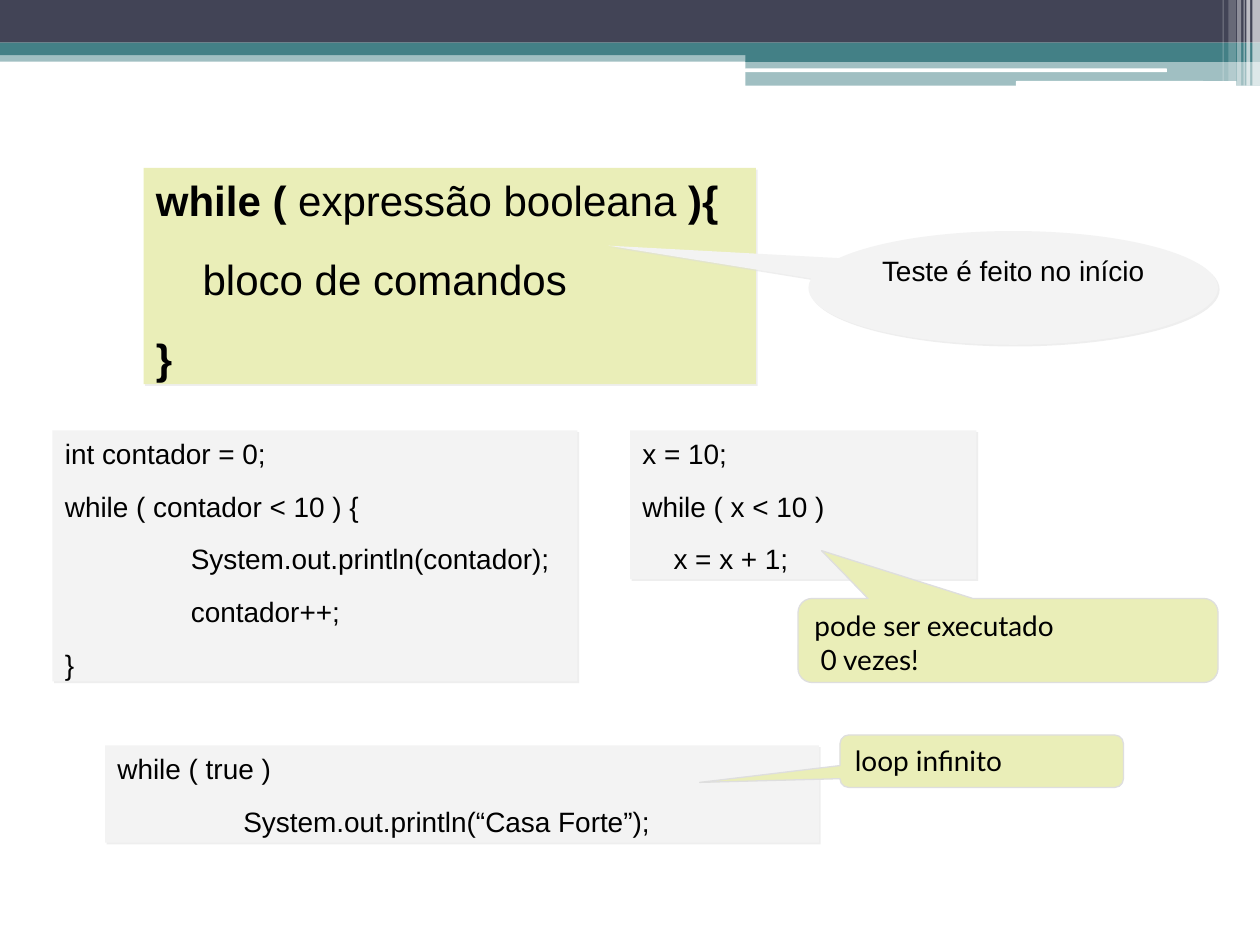
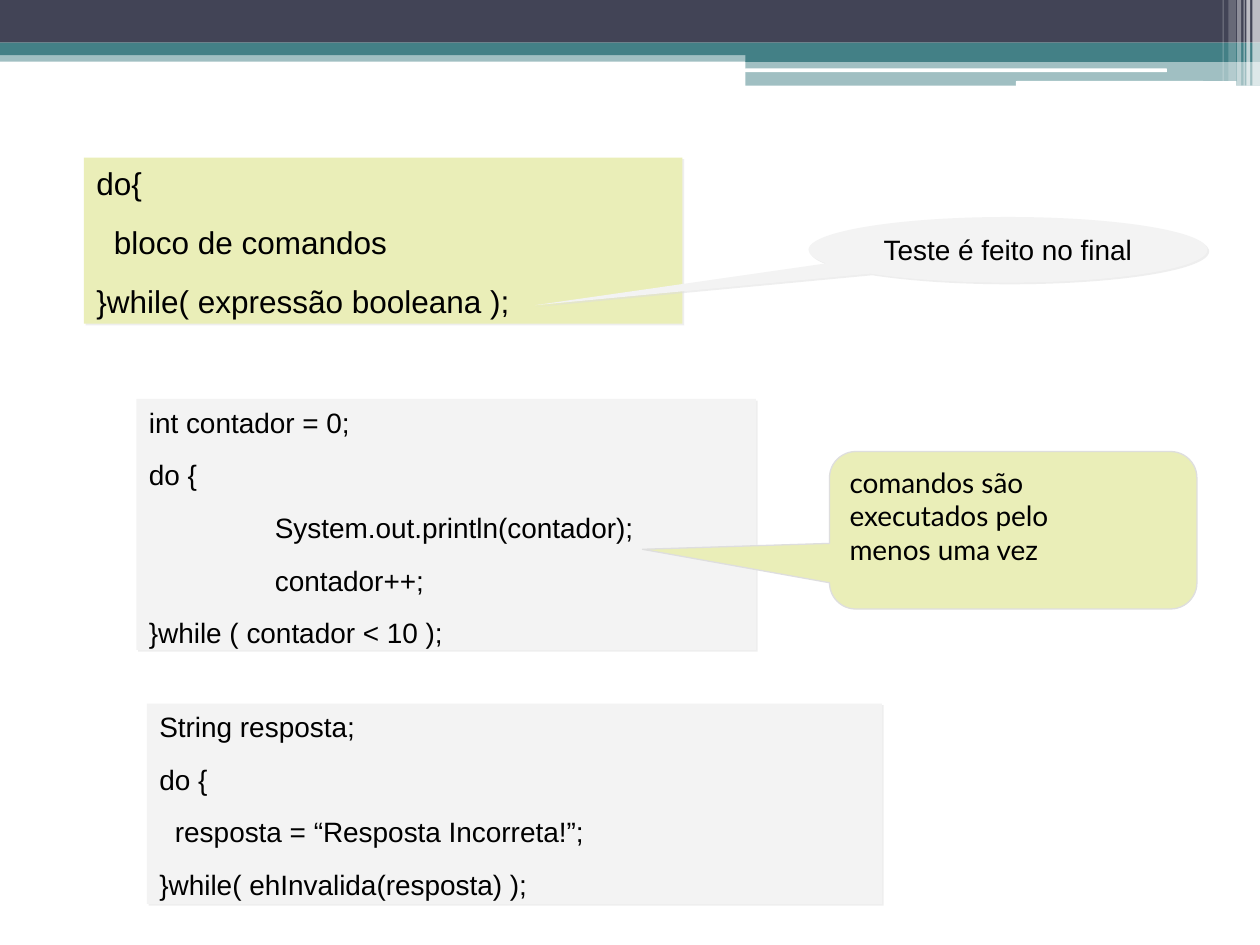
"""Builds two slides on Java while and do-while loops."""
import pptx
import pptx.dml.color
import pptx.enum.shapes
import pptx.enum.text
import pptx.oxml.ns
import pptx.util
from lxml import etree

Pt = pptx.util.Pt
SHAPE = pptx.enum.shapes.MSO_SHAPE
ALIGN = pptx.enum.text.PP_ALIGN
qn = pptx.oxml.ns.qn

COLORS = {
    "navy": "424456",
    "teal": "438086",
    "white": "FFFFFF",
    "lime": "EAEEB8",
    "gray": "F3F3F3",
    "edge": "DEDEDE",
    "text": "000000",
}

BANDS = [
    (SHAPE.RECTANGLE, 0, 28.8, 720, 6.5, "teal", 50),
    (SHAPE.RECTANGLE, 0, 0, 720, 24.4, "navy", 100),
    (SHAPE.RECTANGLE, 0, 24.4, 720, 7.2, "teal", 100),
    (SHAPE.RECTANGLE, 426, 28.2, 294, 7.2, "teal", 100),
    (SHAPE.RECTANGLE, 426, 34.8, 294, 14.2, "teal", 50),
    (SHAPE.ROUNDED_RECTANGLE, 425.8, 39.1, 241, 2.2, "white", 100),
    (SHAPE.ROUNDED_RECTANGLE, 580.5, 46.3, 126, 2.8, "white", 100),
    (SHAPE.RECTANGLE, 715.6, 0, 4.4, 49, "white", 65),
    (SHAPE.RECTANGLE, 712.2, 0, 2.2, 49, "white", 65),
    (SHAPE.RECTANGLE, 710.6, 0, 0.7, 49, "white", 60),
    (SHAPE.RECTANGLE, 707, 0, 2.2, 49, "white", 40),
    (SHAPE.RECTANGLE, 702, 0, 4.3, 46.3, "white", 20),
    (SHAPE.RECTANGLE, 698.6, 0, 0.7, 46.3, "white", 30),
]

STYLES = {
    "syntax": (SHAPE.RECTANGLE, "lime", "Arial", ALIGN.LEFT),
    "code": (SHAPE.RECTANGLE, "gray", "Arial", ALIGN.LEFT),
    "test": (SHAPE.OVAL_CALLOUT, "gray", "Arial", ALIGN.CENTER),
    "remark": (SHAPE.ROUNDED_RECTANGULAR_CALLOUT, "lime", "Lato", ALIGN.LEFT),
}
SPACE_BEFORE_RATIO = 0.68

# style, position and size, callout adjustments, text size, lines as (indent, text with *bold*)
SLIDES = [
    [
        ("code", (60, 426, 408, 55.6), (), 16,
         [(0, "while ( true )"), (72, "System.out.println(“Casa Forte”);")]),
        ("syntax", (82, 96, 350, 123.6), (), 24,
         [(0, "*while ( *expressão booleana *){*"), (26.7, "bloco de comandos"), (0, "*}*")]),
        ("code", (360, 246, 198, 85), (), 16,
         [(0, "x = 10;"), (0, "while ( x < 10 )"), (17.8, "x = x + 1;")]),
        ("remark", (480, 420, 162, 30), (-0.995, 0.404, 0.167), 16, [(0, "loop infinito")]),
        ("code", (30, 246, 300, 143.5), (), 16,
         [(0, "int contador = 0;"), (0, "while ( contador < 10 ) {"),
          (72, "System.out.println(contador);"), (72, "contador++;"), (0, "}")]),
        ("test", (462, 132, 234, 65), (-0.989, -0.371), 16, [(0, "Teste é feito no início")]),
        ("remark", (456, 342, 240, 48), (-0.444, -1.07, 0.167), 16,
         [(0, "pode ser executado"), (3.5, "0 vezes!")]),
    ],
    [
        ("syntax", (48, 90, 342, 95), (), 18,
         [(0, "do{"), (10, "bloco de comandos"), (0, "}while( expressão booleana );")]),
        ("code", (78, 228, 354, 143.5), (), 16,
         [(0, "int contador = 0;"), (0, "do {"), (72, "System.out.println(contador);"),
          (72, "contador++;"), (0, "}while ( contador < 10 );")]),
        ("test", (462, 124, 228, 37.5), (-1.186, 0.845), 16, [(0, "Teste é feito no final")]),
        ("remark", (474, 258, 210, 90), (-1.009, 0.121, 0.167), 16,
         [(0, "comandos são"), (0, "executados pelo"), (0, "menos uma vez")]),
        ("code", (84, 402, 420, 114.5), (), 16,
         [(0, "String resposta;"), (0, "do {"), (8.9, "resposta = “Resposta Incorreta!”;"),
          (0, "}while( ehInvalida(resposta) );")]),
    ],
]


def add_filled(page, kind, left, top, width, height, color):
    """Adds a flat, borderless shape in a palette colour."""
    shape = page.shapes.add_shape(kind, Pt(left), Pt(top), Pt(width), Pt(height))
    shape.shadow.inherit = False
    shape.fill.solid()
    shape.fill.fore_color.rgb = pptx.dml.color.RGBColor.from_string(COLORS[color])
    shape.line.fill.background()
    return shape


def add_shadow(shape):
    """Gives a shape the thin, half-clear edge shadow."""
    effects = shape.element.spPr.find(qn("a:effectLst"))
    shadow = etree.SubElement(effects, qn("a:outerShdw"), blurRad="0", dist=str(Pt(1.4)),
                              dir="2700000", algn="ctr", rotWithShape="0")
    tint = etree.SubElement(shadow, qn("a:srgbClr"), val=COLORS["edge"])
    etree.SubElement(tint, qn("a:alpha"), val="50000")


deck = pptx.Presentation()
deck.slide_width, deck.slide_height = Pt(720), Pt(540)

for boxes in SLIDES:
    page = deck.slides.add_slide(deck.slide_layouts[6])

    for kind, left, top, width, height, color, opacity in BANDS:
        band = add_filled(page, kind, left, top, width, height, color)
        if opacity < 100:
            tint = band.element.spPr.find(qn("a:solidFill")).find(qn("a:srgbClr"))
            etree.SubElement(tint, qn("a:alpha"), val=str(opacity * 1000))

    for style, place, adjustments, size, lines in boxes:
        kind, color, font, align = STYLES[style]
        box = add_filled(page, kind, *place, color)
        for index, value in enumerate(adjustments):
            box.adjustments[index] = value
        if style == "remark":
            box.line.color.rgb = pptx.dml.color.RGBColor.from_string(COLORS["edge"])
            box.line.width = Pt(0.75)
        else:
            add_shadow(box)

        frame = box.text_frame
        frame.word_wrap = style != "test"
        frame.vertical_anchor = pptx.enum.text.MSO_ANCHOR.TOP
        frame.text = "\n".join(text for indent, text in lines)
        for para, (indent, text) in zip(frame.paragraphs, lines):
            para.alignment = align
            para.space_before = Pt(0 if style == "remark" else size * SPACE_BEFORE_RATIO)
            para._p.get_or_add_pPr().set("marL", str(Pt(indent)))
            para.text = ""
            for index, part in enumerate(text.split("*")):
                if part:
                    span = para.add_run()
                    span.text = part
                    span.font.name = font
                    span.font.size = Pt(size)
                    span.font.bold = index % 2 == 1
                    span.font.color.rgb = pptx.dml.color.RGBColor.from_string(COLORS["text"])

deck.save("out.pptx")
